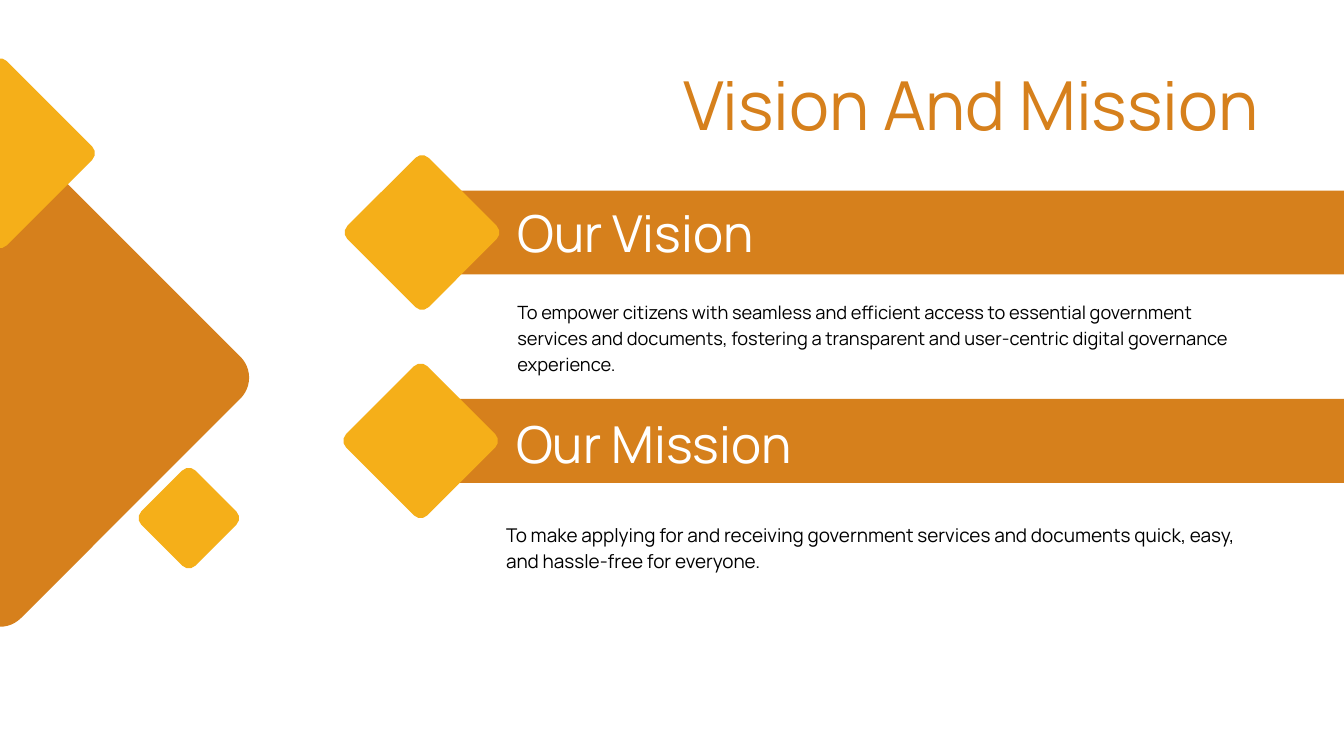
"""Build the Vision And Mission slide."""
from pptx import Presentation
from pptx.dml.color import RGBColor
from pptx.enum.shapes import MSO_SHAPE
from pptx.enum.text import MSO_AUTO_SIZE, PP_ALIGN
from pptx.util import Inches, Pt

RUST, GOLD, WHITE, BLACK = "D6801C", "F5AF19", "FFFFFF", "000000"
FONT = "Manrope"
LEFT, RIGHT, EVEN = PP_ALIGN.LEFT, PP_ALIGN.RIGHT, PP_ALIGN.JUSTIFY

# centre x, centre y, side, corner radius, colour
GEMS = [
    (0, 5.62, 5.5, 0.44, RUST),
    (0, 2.28, 2.08, 0.14, GOLD),
    (2.81, 7.71, 1.14, 0.14, GOLD),
]
BANDS = [(6.28, 3.46), (6.26, 6.56)]
BAND_W, BAND_H = 14.86, 1.25
BAND_GEM = (1.71, 0.14, GOLD)

# text, box, size, line spacing, colour, alignment
TEXTS = [
    ("Vision And Mission", (6.39, 0.73, 12.34, 1.43), 72.4, 101.3, RUST, RIGHT),
    ("Our Vision", (7.7, 2.85, 4.85, 1.07), 54.5, 76.4, WHITE, EVEN),
    ("Our Mission", (7.68, 5.99, 4.85, 1.02), 54.5, 76.4, WHITE, EVEN),
    ("To empower citizens with seamless and efficient access to essential "
     "government services and documents, fostering a transparent and "
     "user-centric digital governance experience.",
     (7.7, 4.43, 10.76, 1.14), 19.6, 27.5, BLACK, LEFT),
    ("To make applying for and receiving government services and documents "
     "quick, easy, and hassle-free for everyone.",
     (7.53, 7.73, 11.11, 0.78), 20.3, 28.4, BLACK, LEFT),
]


def paint(part, tone):
    """Set a solid colour from a hex string."""
    part.rgb = RGBColor.from_string(tone)


def add_form(slide, kind, box, tone):
    """Add a flat shape without outline."""
    form = slide.shapes.add_shape(kind, *map(Inches, box))
    form.shadow.inherit = False
    form.fill.solid()
    paint(form.fill.fore_color, tone)
    form.line.fill.background()
    return form


def add_gem(slide, x, y, side, curve, tone):
    """Add a rounded square standing on its corner."""
    box = (x - side / 2, y - side / 2, side, side)
    gem = add_form(slide, MSO_SHAPE.ROUNDED_RECTANGLE, box, tone)
    gem.adjustments[0] = curve / side
    gem.rotation = 45


def add_text(slide, text, box, size, pitch, tone, align):
    """Add a text box with one paragraph."""
    frame = slide.shapes.add_textbox(*map(Inches, box)).text_frame
    frame.margin_left = frame.margin_right = 0
    frame.margin_top = frame.margin_bottom = 0
    frame.word_wrap = True
    frame.auto_size = MSO_AUTO_SIZE.SHAPE_TO_FIT_TEXT
    para = frame.paragraphs[0]
    para.alignment = align
    para.line_spacing = Pt(pitch)
    run = para.add_run()
    run.text = text
    run.font.name = FONT
    run.font.size = Pt(size)
    paint(run.font.color, tone)


def main():
    """Draw the slide and save it."""
    deck = Presentation()
    deck.slide_width, deck.slide_height = Inches(20), Inches(11.25)
    slide = deck.slides.add_slide(deck.slide_layouts[6])
    for gem in GEMS:
        add_gem(slide, *gem)
    for x, y in BANDS:
        band = (x, y - BAND_H / 2, BAND_W, BAND_H)
        add_form(slide, MSO_SHAPE.RECTANGLE, band, RUST)
        add_gem(slide, x, y, *BAND_GEM)
    for item in TEXTS:
        add_text(slide, *item)
    deck.save("out.pptx")


if __name__ == "__main__":
    main()
